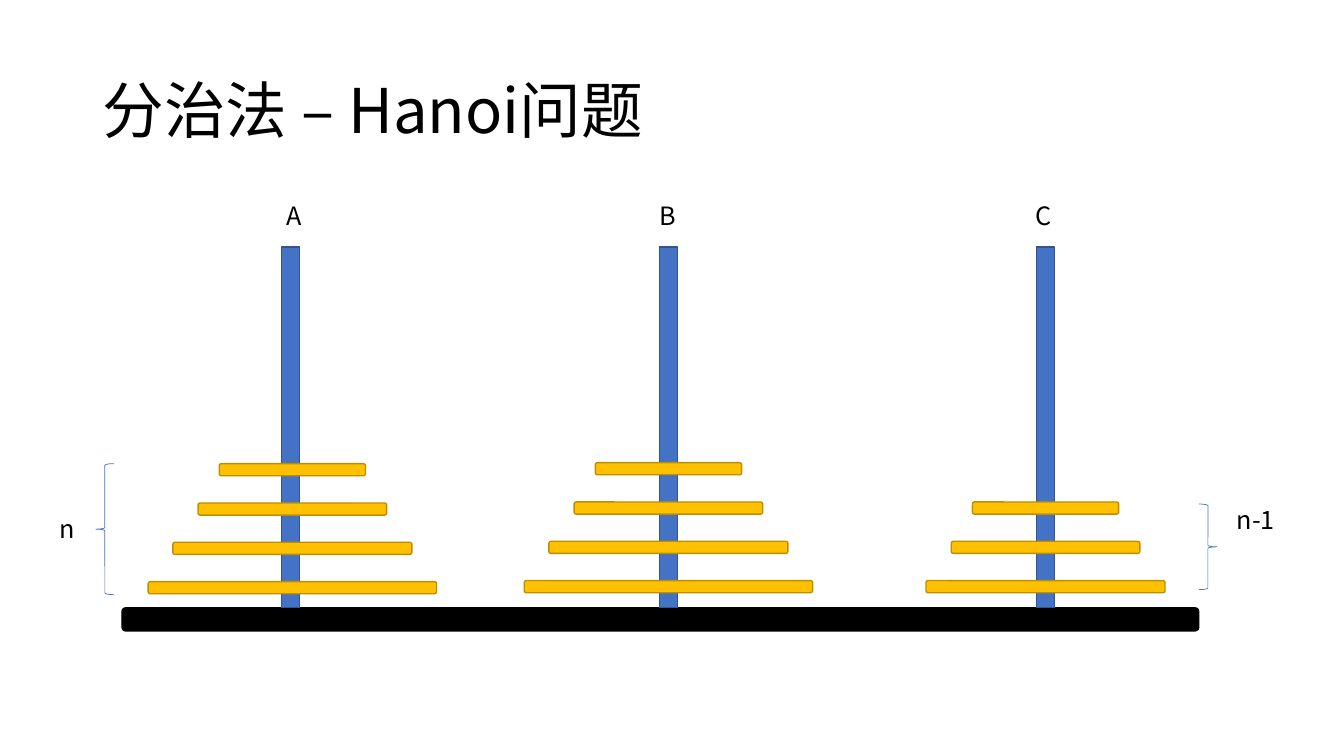
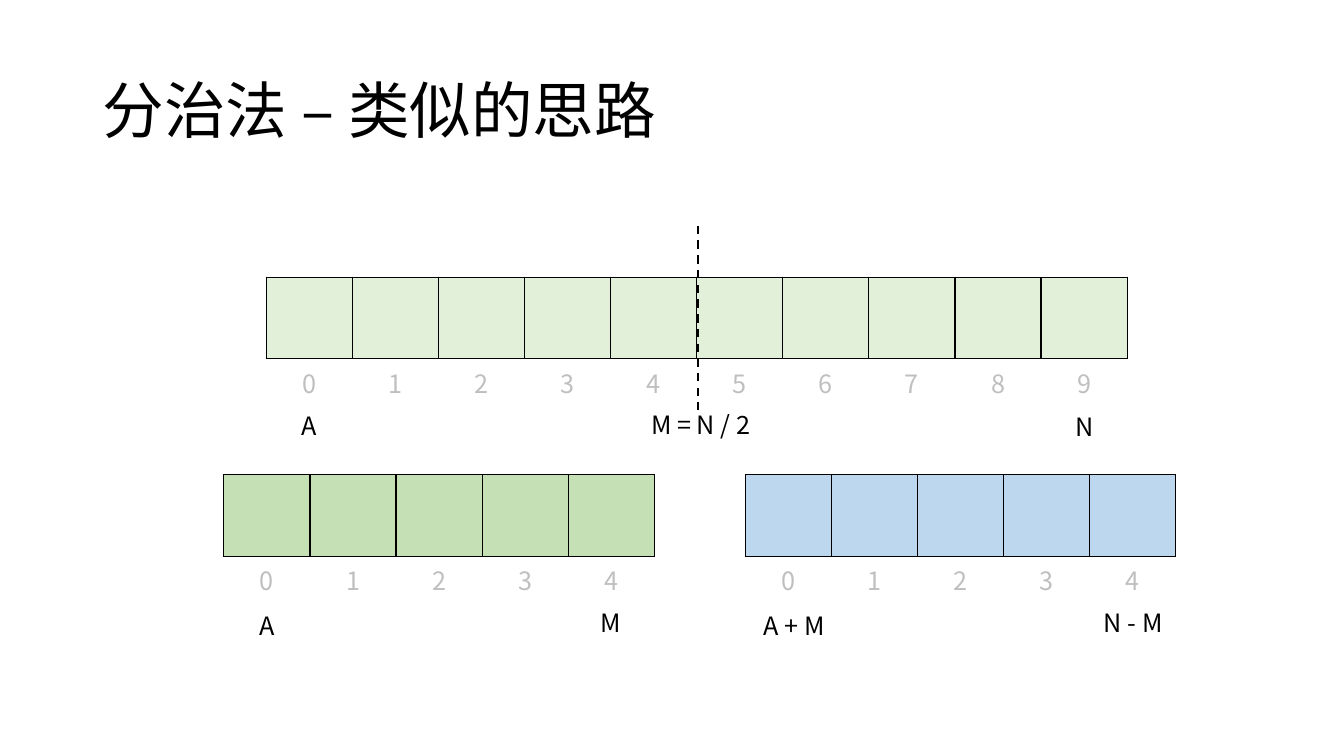
from dataclasses import dataclass

from lxml.etree import SubElement
from pptx import Presentation
from pptx.dml.color import RGBColor
from pptx.enum.dml import MSO_LINE
from pptx.enum.shapes import MSO_CONNECTOR, MSO_SHAPE
from pptx.enum.text import MSO_ANCHOR, PP_ALIGN
from pptx.oxml.ns import qn
from pptx.util import Inches, Pt


@dataclass(frozen=True)
class Theme:
    """Colours, font and type sizes of the deck."""
    font: str = "Noto Sans CJK SC"
    title_size: int = 44
    body_size: int = 18
    black: str = "000000"
    index: str = "BFBFBF"
    peg: str = "4472C4"
    peg_line: str = "325491"
    disk: str = "FFC000"
    disk_line: str = "BD8E00"
    whole: str = "E2F0D9"
    left_half: str = "C5E0B4"
    right_half: str = "BDD7EE"
    plain_table: str = "{2D5ABB26-0587-4C30-8999-92F81FD0307C}"


def rgb(color):
    """Turn a hex string into a colour."""
    return RGBColor.from_string(color)


class Deck:
    """Holds the theme and the current slide, and draws elements on it."""

    def __init__(self, theme):
        """Start an empty widescreen presentation."""
        self.theme = theme
        self.prs = Presentation()
        self.prs.slide_width = Inches(13.33)
        self.prs.slide_height = Inches(7.5)

    def slide(self, title):
        """Add a blank slide with the shared title."""
        self.s = self.prs.slides.add_slide(self.prs.slide_layouts[6])
        tf = self.text(title, 0.92, 0.4, 11.5, 1.45,
                       self.theme.title_size, PP_ALIGN.LEFT)
        tf.vertical_anchor = MSO_ANCHOR.MIDDLE
        tf.paragraphs[0].line_spacing = 0.9

    def set_text(self, tf, text, size, color, align):
        """Put one formatted paragraph into a text frame."""
        tf.text = text
        p = tf.paragraphs[0]
        p.alignment = align
        for r in p.runs:
            r.font.size = Pt(size)
            r.font.name = self.theme.font
            r.font.color.rgb = rgb(color)
            SubElement(r.font._element, qn("a:ea"), typeface=self.theme.font)

    def text(self, text, x, y, w, h, size, align):
        """Add a wrapping text box and return its frame."""
        tf = self.s.shapes.add_textbox(
            Inches(x), Inches(y), Inches(w), Inches(h)).text_frame
        tf.word_wrap = True
        self.set_text(tf, text, size, self.theme.black, align)
        return tf

    def label(self, text, x, y):
        """Add a small centred label."""
        self.text(text, x, y, 0.75, 0.4, self.theme.body_size, PP_ALIGN.CENTER)

    def shape(self, kind, x, y, w, h, line, fill=None, weight=1):
        """Add a preset shape; without a fill it stays open."""
        sp = self.s.shapes.add_shape(
            kind, Inches(x), Inches(y), Inches(w), Inches(h))
        sp.shadow.inherit = False
        if fill:
            sp.fill.solid()
            sp.fill.fore_color.rgb = rgb(fill)
        else:
            sp.fill.background()
        sp.line.color.rgb = rgb(line)
        sp.line.width = Pt(weight)

    def brace(self, kind, x, y, h):
        """Add a thin brace."""
        self.shape(kind, x, y, 0.18, h, self.theme.peg, weight=0.5)

    def disks(self, center, top, widths):
        """Stack disks of growing width around a centre."""
        for i, w in enumerate(widths):
            self.shape(MSO_SHAPE.ROUNDED_RECTANGLE, center - w / 2,
                       top + i * 0.39, w, 0.12,
                       self.theme.disk_line, self.theme.disk)

    def dashed_line(self, x, top, bottom):
        """Add a vertical dashed line."""
        c = self.s.shapes.add_connector(
            MSO_CONNECTOR.STRAIGHT, Inches(x), Inches(top),
            Inches(x), Inches(bottom))
        c.line.color.rgb = rgb(self.theme.black)
        c.line.width = Pt(1.5)
        c.line.dash_style = MSO_LINE.DASH
        SubElement(c._element.spPr, qn("a:effectLst"))

    def row(self, x, y, w, h, count):
        """Add an unstyled one-row table and return its cells."""
        frame = self.s.shapes.add_table(
            1, count, Inches(x), Inches(y), Inches(w), Inches(h))
        table = frame.table
        table.first_row = table.horz_banding = False
        for style in frame._element.iter(qn("a:tableStyleId")):
            style.text = self.theme.plain_table
        return list(table.iter_cells())

    def border(self, cell):
        """Draw a black line on all four sides of a cell."""
        tc_pr = cell._tc.get_or_add_tcPr()
        for side in ("a:lnL", "a:lnR", "a:lnT", "a:lnB"):
            ln = SubElement(tc_pr, qn(side), w=str(Pt(1)))
            fill = SubElement(ln, qn("a:solidFill"))
            SubElement(fill, qn("a:srgbClr"), val=self.theme.black)

    def text_row(self, texts, x, y, w, color):
        """Add a row of centred texts without fill."""
        for cell, text in zip(self.row(x, y, w, 0.41, len(texts)), texts):
            cell.fill.background()
            self.set_text(cell.text_frame, text, self.theme.body_size,
                          color, PP_ALIGN.CENTER)

    def array(self, x, y, w, count, fill):
        """Add a row of boxes with their indices underneath."""
        for cell in self.row(x, y, w, 0.81, count):
            self.border(cell)
            cell.fill.solid()
            cell.fill.fore_color.rgb = rgb(fill)
        self.text_row([str(i) for i in range(count)],
                      x, y + 0.81, w, self.theme.index)


def hanoi(deck):
    """Three pegs on a base with their disks."""
    t = deck.theme
    deck.slide("分治法 – Hanoi问题")
    deck.shape(MSO_SHAPE.ROUNDED_RECTANGLE, 1.21, 6.03, 10.68, 0.23,
               t.black, t.black)
    widths = (1.45, 1.87, 2.37, 2.86)
    pegs = (
        ("A", 2.54, 2.79, 2.9, 4.6, widths),
        ("B", 6.25, 6.54, 6.63, 4.59, widths),
        ("C", 9.97, 10.28, 10.37, 4.98, widths[:3]),
    )
    for name, label_x, peg_x, center, top, sizes in pegs:
        deck.shape(MSO_SHAPE.RECTANGLE, peg_x, 2.45, 0.18, 3.58,
                   t.peg_line, t.peg)
        deck.label(name, label_x, 1.94)
        deck.disks(center, top, sizes)
    deck.brace(MSO_SHAPE.LEFT_BRACE, 0.95, 4.6, 1.3)
    deck.label("n", 0.29, 5.04)
    deck.brace(MSO_SHAPE.RIGHT_BRACE, 11.89, 5, 0.85)
    deck.label("n-1", 12.08, 4.95)


def halving(deck):
    """An array split into two halves."""
    t = deck.theme
    deck.slide("分治法 – 类似的思路")
    deck.array(2.64, 2.75, 8.54, 10, t.whole)
    deck.array(2.22, 4.71, 4.27, 5, t.left_half)
    deck.array(7.39, 4.71, 4.27, 5, t.right_half)
    deck.dashed_line(6.92, 2.24, 4.07)
    marks = (
        ("A", 2.64, 3.98, 0.85),
        ("M = N / 2", 6.06, 3.97, 1.78),
        ("N", 10.33, 3.99, 0.85),
        ("A", 2.22, 5.96, 0.85),
        ("M", 5.63, 5.93, 0.85),
        ("A + M", 7.33, 5.96, 1.09),
        ("N - M", 10.78, 5.93, 0.92),
    )
    for text, x, y, w in marks:
        deck.text_row([text], x, y, w, t.black)


deck = Deck(Theme())
hanoi(deck)
halving(deck)
deck.prs.save("out.pptx")
